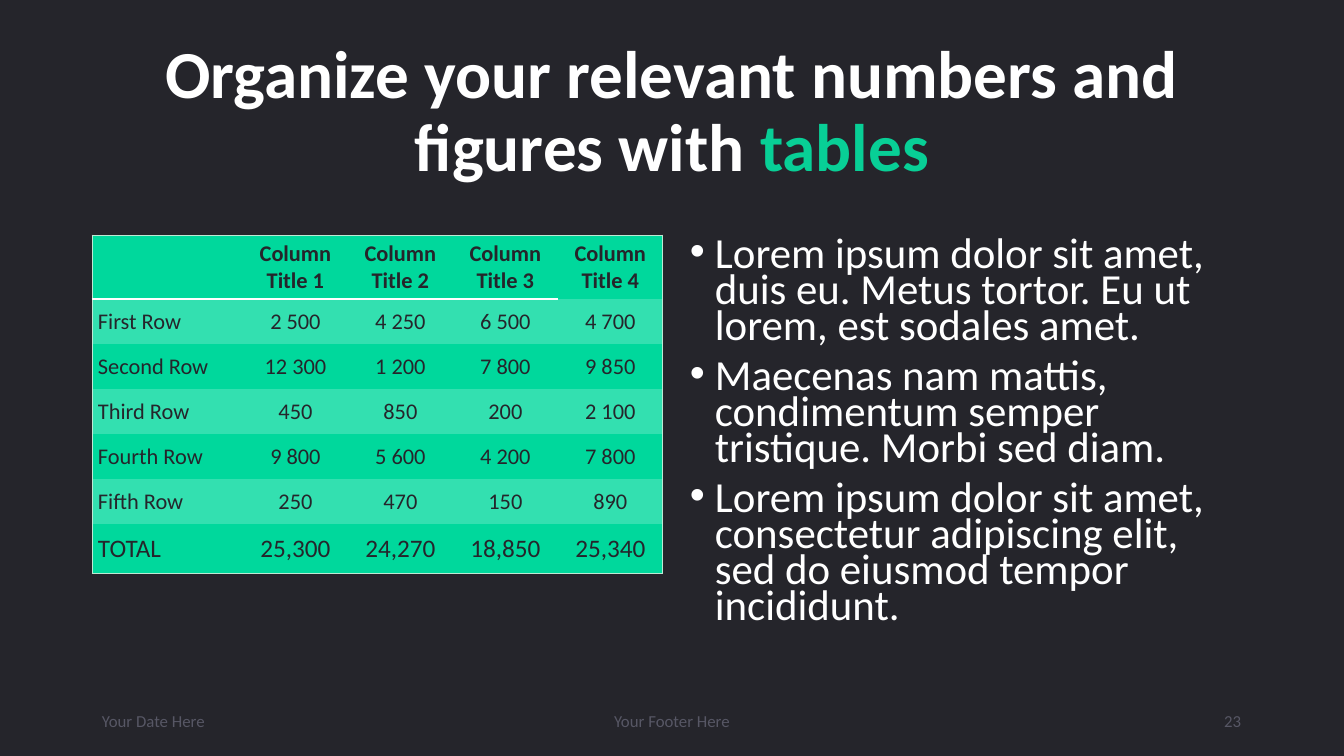
"""Build a dark slide with a table of figures beside three bullet points."""
from lxml import etree
from pptx import Presentation
from pptx.dml.color import RGBColor
from pptx.enum.text import MSO_ANCHOR, PP_ALIGN
from pptx.oxml.ns import qn
from pptx.util import Emu, Pt

LEFT, CENTER, RIGHT = PP_ALIGN.LEFT, PP_ALIGN.CENTER, PP_ALIGN.RIGHT
TOP, MIDDLE = MSO_ANCHOR.TOP, MSO_ANCHOR.MIDDLE

TITLE = "Organize your relevant numbers and figures with "
TITLE_ACCENT = "tables"
FIGURES = [
    ("", "Column Title 1", "Column Title 2", "Column Title 3", "Column Title 4"),
    ("First Row", "2 500", "4 250", "6 500", "4 700"),
    ("Second Row", "12 300", "1 200", "7 800", "9 850"),
    ("Third Row", "450", "850", "200", "2 100"),
    ("Fourth Row", "9 800", "5 600", "4 200", "7 800"),
    ("Fifth Row", "250", "470", "150", "890"),
    ("TOTAL", "25,300", "24,270", "18,850", "25,340"),
]
POINTS = [
    "Lorem ipsum dolor sit amet, duis eu. Metus tortor. Eu ut lorem, est sodales amet.",
    "Maecenas nam mattis, condimentum semper tristique. Morbi sed diam.",
    "Lorem ipsum dolor sit amet, consectetur adipiscing elit, sed do eiusmod tempor incididunt.",
]
FOOTERS = [
    ("Your Date Here", LEFT, 92, 302),
    ("Your Footer Here", CENTER, 445, 454),
    ("23", RIGHT, 949, 302),
]

THEME = {
    "font": "Calibri",
    "background": "25252B", "text": "FFFFFF", "accent": "08CF96", "footer": "575765",
    "cell": "00D89C", "band": "33E0B0", "cell_text": "25252B",
    "frame": "BDE9D3", "rule": "FFFFFF",
    "title_size": 48, "points_size": 30.6, "cell_size": 16, "total_size": 18, "footer_size": 12,
    "frame_width": 0.5, "rule_width": 1.5,
}
PLAIN_TABLE = "{2D5ABB26-0587-4C30-8999-92F81FD0307C}"

SLIDE_SIZE = (1344, 756)
TITLE_BOX = (92, 40, 1160, 146)
TABLE_AT = (92, 235)
COLUMN_WIDTHS = [151] + [105] * 4
ROW_HEIGHTS = [64] + [45] * 5 + [50]
POINTS_BOX = (680, 235, 572, 446)
FOOTER_TOP, FOOTER_HEIGHT = 701, 40
BULLET_INDENT = 25
CELL_SIDE, CELL_END = 6, 5


def px(length):
    return Emu(round(length * 12192000 / SLIDE_SIZE[0]))


def color(name):
    return RGBColor.from_string(THEME[name])


def style(font, size, shade, bold=False):
    font.name = THEME["font"]
    font.size = Pt(THEME[size])
    font.color.rgb = color(shade)
    font.bold = bold


def add_text_frame(slide, box, anchor):
    frame = slide.shapes.add_textbox(*map(px, box)).text_frame
    frame.word_wrap = True
    frame.vertical_anchor = anchor
    return frame


def add_title(slide):
    heading = add_text_frame(slide, TITLE_BOX, MIDDLE).paragraphs[0]
    heading.alignment = CENTER
    heading.line_spacing = 0.9
    for words, shade in ((TITLE, "text"), (TITLE_ACCENT, "accent")):
        run = heading.add_run()
        run.text = words
        style(run.font, "title_size", shade, bold=True)


def add_border(cell, side, kind):
    properties = cell._tc.get_or_add_tcPr()
    line = etree.SubElement(properties, qn("a:ln" + side), w=str(Pt(THEME[kind + "_width"])))
    fill = etree.SubElement(line, qn("a:solidFill"))
    etree.SubElement(fill, qn("a:srgbClr"), val=THEME[kind])


def add_figures(slide):
    size = (sum(COLUMN_WIDTHS), sum(ROW_HEIGHTS))
    last_row, last_column = len(FIGURES) - 1, len(COLUMN_WIDTHS) - 1
    table = slide.shapes.add_table(
        last_row + 1, last_column + 1, *map(px, TABLE_AT + size)).table
    table._tbl.tblPr.find(qn("a:tableStyleId")).text = PLAIN_TABLE
    table.horz_banding = False
    for column, width in zip(table.columns, COLUMN_WIDTHS):
        column.width = px(width)
    for row, height in zip(table.rows, ROW_HEIGHTS):
        row.height = px(height)
    for r, values in enumerate(FIGURES):
        for c, value in enumerate(values):
            cell = table.cell(r, c)
            cell.vertical_anchor = MIDDLE
            cell.margin_left = cell.margin_right = px(CELL_SIDE)
            cell.margin_top = cell.margin_bottom = px(CELL_END)
            cell.text = value
            entry = cell.text_frame.paragraphs[0]
            entry.alignment = CENTER if c else LEFT
            style(entry.font, "total_size" if r == last_row else "cell_size",
                  "cell_text", bold=r == 0)
            borders = (
                ("L", "frame", c == 0),
                ("R", "frame", c == last_column),
                ("T", "frame", r == 0),
                ("B", "rule", r == 0 and c < last_column),
                ("B", "frame", r == last_row),
            )
            for side, kind, shown in borders:
                if shown:
                    add_border(cell, side, kind)
            cell.fill.solid()
            cell.fill.fore_color.rgb = color("band" if r % 2 else "cell")


def add_points(slide):
    frame = add_text_frame(slide, POINTS_BOX, TOP)
    for i, words in enumerate(POINTS):
        point = frame.add_paragraph() if i else frame.paragraphs[0]
        point.text = words
        point.line_spacing = 0.7
        point.space_before = Pt(10)
        style(point.font, "points_size", "text")
        properties = point._p.get_or_add_pPr()
        properties.set("marL", str(px(BULLET_INDENT)))
        properties.set("indent", str(-px(BULLET_INDENT)))
        bullet_font = etree.Element(qn("a:buFont"), typeface="Arial")
        bullet = etree.Element(qn("a:buChar"), char="•")
        properties.find(qn("a:defRPr")).addprevious(bullet_font)
        bullet_font.addnext(bullet)


def add_footers(slide):
    for words, alignment, left, width in FOOTERS:
        box = (left, FOOTER_TOP, width, FOOTER_HEIGHT)
        footer = add_text_frame(slide, box, MIDDLE).paragraphs[0]
        footer.text = words
        footer.alignment = alignment
        style(footer.font, "footer_size", "footer")


def main():
    deck = Presentation()
    deck.slide_width, deck.slide_height = map(px, SLIDE_SIZE)
    slide = deck.slides.add_slide(deck.slide_layouts[6])
    slide.background.fill.solid()
    slide.background.fill.fore_color.rgb = color("background")
    add_title(slide)
    add_figures(slide)
    add_points(slide)
    add_footers(slide)
    deck.save("out.pptx")


if __name__ == "__main__":
    main()
